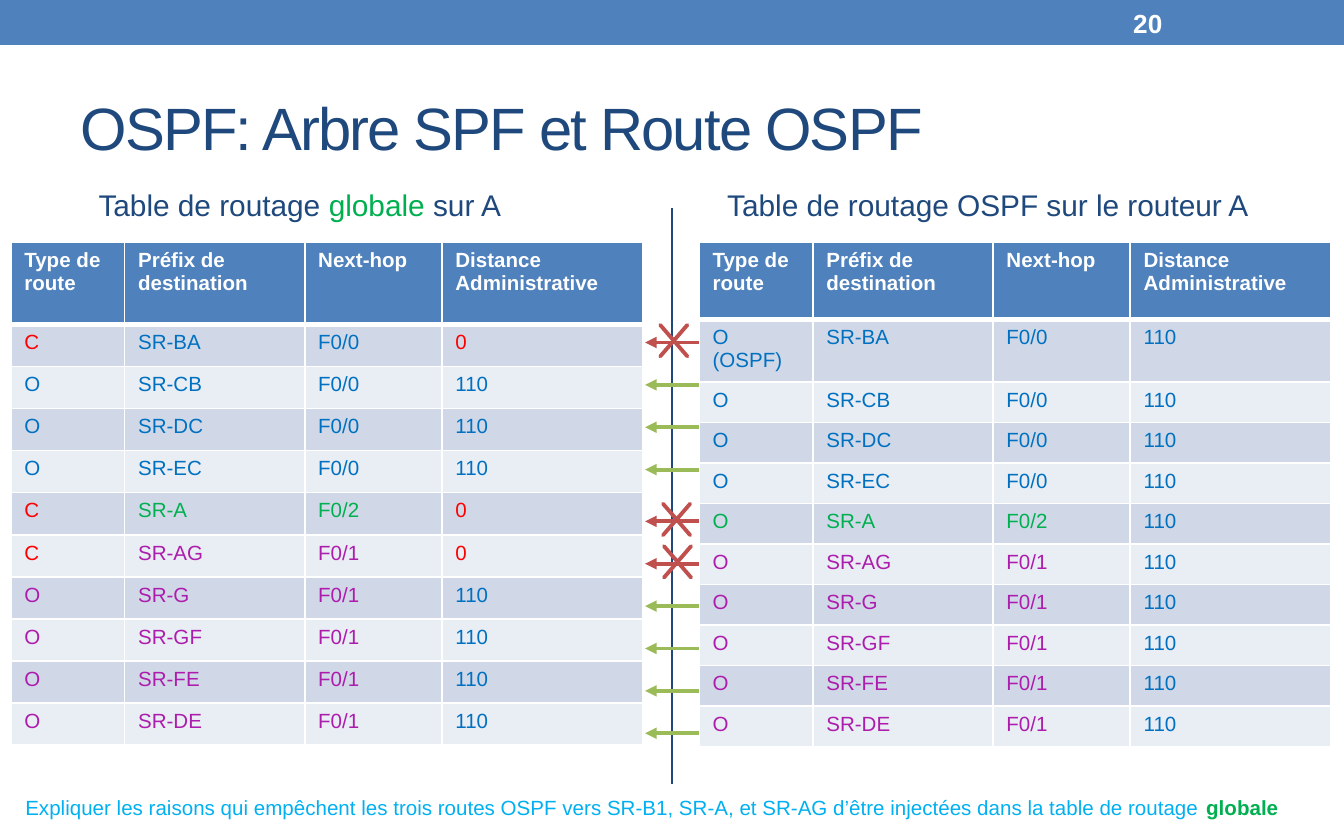
from pptx import Presentation
from pptx.dml.color import RGBColor
from pptx.enum.shapes import MSO_CONNECTOR, MSO_SHAPE
from pptx.enum.text import MSO_ANCHOR, PP_ALIGN
from pptx.oxml.ns import qn
from pptx.util import Pt
from lxml import etree

LINE = MSO_CONNECTOR.STRAIGHT
RECT, CROSS = MSO_SHAPE.RECTANGLE, MSO_SHAPE.MATH_MULTIPLY
TOP, MID = MSO_ANCHOR.TOP, MSO_ANCHOR.MIDDLE
LEFT, CENTER = PP_ALIGN.LEFT, PP_ALIGN.CENTER

THEME = {
    "font": "Arial", "title": 32, "head": 16, "page": 14, "body": 11,
    "navy": "1F497D", "bar": "4F81BD", "white": "FFFFFF", "blue": "0070C0",
    "green": "00B050", "purple": "AD1DAD", "red": "FF0000", "sky": "00B0F0",
    "odd": "D0D8E8", "even": "E9EDF4", "pass": "9BBB59", "block": "C0504D",
}

TITLE = "OSPF: Arbre SPF et Route OSPF"
PAGE = "20"
LEFT_HEAD = [("Table de routage ", "navy"), ("globale ", "green"), ("sur A", "navy")]
RIGHT_HEAD = "Table de routage OSPF sur le routeur A"
NOTE = [("Expliquer les raisons qui empêchent les trois routes OSPF vers SR-B1, SR-A, "
         "et SR-AG d’être injectées dans la table de routage ", "sky"),
        ("globale", "green", True)]

HEADS = ["Type de route", "Préfix de destination", "Next-hop", "Distance Administrative"]
PORTS = {"F0/0": "blue", "F0/2": "green", "F0/1": "purple"}
# prefix, next hop, directly connected
ROUTES = [
    ("SR-BA", "F0/0", True), ("SR-CB", "F0/0", False), ("SR-DC", "F0/0", False),
    ("SR-EC", "F0/0", False), ("SR-A", "F0/2", True), ("SR-AG", "F0/1", True),
    ("SR-G", "F0/1", False), ("SR-GF", "F0/1", False), ("SR-FE", "F0/1", False),
    ("SR-DE", "F0/1", False),
]
COLS = [61, 96.5, 73.5, 107.5]
LEFT_ROWS = [44.2] + [22.55] * 10
RIGHT_ROWS = [41.5, 31.7] + [21.7] * 9
LEFT_X, RIGHT_X, TABLE_Y = 5.8, 374.5, 129.6
ARROW_Y, STEP, GAP = 183.5, 22.7, 5
CROSS_X = {"SR-BA": 361, "SR-A": 362.5, "SR-AG": 363}
CROSS_W, CROSS_H = 28, 32.4


def rgb(name):
    return RGBColor.from_string(THEME[name])


def write(frame, text, size="body", color="navy", bold=False, align=LEFT,
          anchor=TOP, spacing=0):
    """Fill a frame; text is a string or a list of (words, color[, bold])."""
    frame.word_wrap = True
    frame.vertical_anchor = anchor
    para = frame.paragraphs[0]
    para.alignment = align
    parts = [(text, color, bold)] if isinstance(text, str) else text
    for words, hue, *heavy in parts:
        run = para.add_run()
        run.text = words
        font = run.font
        font.name, font.size = THEME["font"], Pt(THEME[size])
        font.bold = heavy[0] if heavy else bold
        font.color.rgb = rgb(hue)
        if spacing:
            run._r.get_or_add_rPr().set("spc", str(spacing * 100))


def label(slide, box, text, **style):
    frame = slide.shapes.add_textbox(*map(Pt, box)).text_frame
    write(frame, text, **style)


def rule(slide, start, end, color, width, arrow=False):
    line = slide.shapes.add_connector(LINE, *map(Pt, start + end))
    line.line.color.rgb = rgb(color)
    line.line.width = Pt(width)
    if arrow:
        etree.SubElement(line.line._get_or_add_ln(), qn("a:tailEnd"), type="triangle")
    etree.SubElement(line._element.spPr, qn("a:effectLst"))


def edge(cell, row):
    """Draw white cell borders, thick between header and body."""
    props = cell._tc.get_or_add_tcPr()
    widths = {"L": 1, "R": 1, "T": 3 if row == 1 else 1, "B": 3 if row == 0 else 1}
    for side, width in widths.items():
        line = etree.SubElement(props, qn("a:ln" + side), w=str(Pt(width)))
        fill = etree.SubElement(line, qn("a:solidFill"))
        etree.SubElement(fill, qn("a:srgbClr"), val=THEME["white"])


def cells(merged):
    """Give the body rows as (text, color); merged is the global table."""
    body = []
    for i, (prefix, port, direct) in enumerate(ROUTES):
        hue = PORTS[port]
        if merged and direct:
            kind, cost = ("C", "red"), ("0", "red")
        else:
            kind = ("O (OSPF)" if i == 0 and not merged else "O", hue)
            cost = ("110", "blue")
        body.append([kind, (prefix, hue), (port, hue), cost])
    return body


def grid(slide, left, heights, body):
    rows = [[(head, "white") for head in HEADS]] + body
    table = slide.shapes.add_table(len(rows), len(COLS), Pt(left), Pt(TABLE_Y),
                                   Pt(sum(COLS)), Pt(sum(heights))).table
    for col, width in zip(table.columns, COLS):
        col.width = Pt(width)
    for r, row in enumerate(rows):
        table.rows[r].height = Pt(heights[r])
        shade = "bar" if r == 0 else "odd" if r % 2 else "even"
        for c, (text, color) in enumerate(row):
            cell = table.cell(r, c)
            edge(cell, r)
            cell.fill.solid()
            cell.fill.fore_color.rgb = rgb(shade)
            write(cell.text_frame, text, color=color, bold=r == 0)


def shape(slide, kind, box, fill, line=None):
    item = slide.shapes.add_shape(kind, *map(Pt, box))
    item.shadow.inherit = False
    item.fill.solid()
    item.fill.fore_color.rgb = rgb(fill)
    if line:
        item.line.color.rgb = rgb(line)
        item.line.width = Pt(2.08)
    else:
        item.line.fill.background()
    return item


def links(slide):
    """Draw an arrow per route, then cross out the connected ones."""
    levels = [ARROW_Y + STEP * i + (GAP if i >= 4 else 0) for i in range(len(ROUTES))]
    for y, (_, _, direct) in zip(levels, ROUTES):
        rule(slide, (374.4, y), (345.6, y), "block" if direct else "pass", 2.08, True)
    for y, (prefix, _, direct) in zip(levels, ROUTES):
        if direct:
            box = (CROSS_X[prefix] - CROSS_W / 2, y - 1 - CROSS_H / 2, CROSS_W, CROSS_H)
            shape(slide, CROSS, box, "white", "block").adjustments[0] = 0


def main():
    deck = Presentation()
    deck.slide_width, deck.slide_height = Pt(720), Pt(450)
    slide = deck.slides.add_slide(deck.slide_layouts[6])
    shape(slide, RECT, (0, 0, 720, 24), "bar")
    rule(slide, (360, 111.6), (360, 420), "navy", 1.5)
    label(slide, (36, 35.3, 648, 64.8), TITLE, size="title", anchor=MID, spacing=-1)
    for left, text in ((RIGHT_X, RIGHT_HEAD), (LEFT_X, LEFT_HEAD)):
        label(slide, (left, 89.3, 309.6, 40.3), text, size="head", align=CENTER, anchor=MID)
    grid(slide, RIGHT_X, RIGHT_ROWS, cells(False))
    grid(slide, LEFT_X, LEFT_ROWS, cells(True))
    links(slide)
    label(slide, (6.5, 422.6, 693.4, 20.9), NOTE)
    label(slide, (600, 1.4, 84, 21.6), PAGE, size="page", color="white", bold=True,
          anchor=MID)
    deck.save("out.pptx")


if __name__ == "__main__":
    main()
